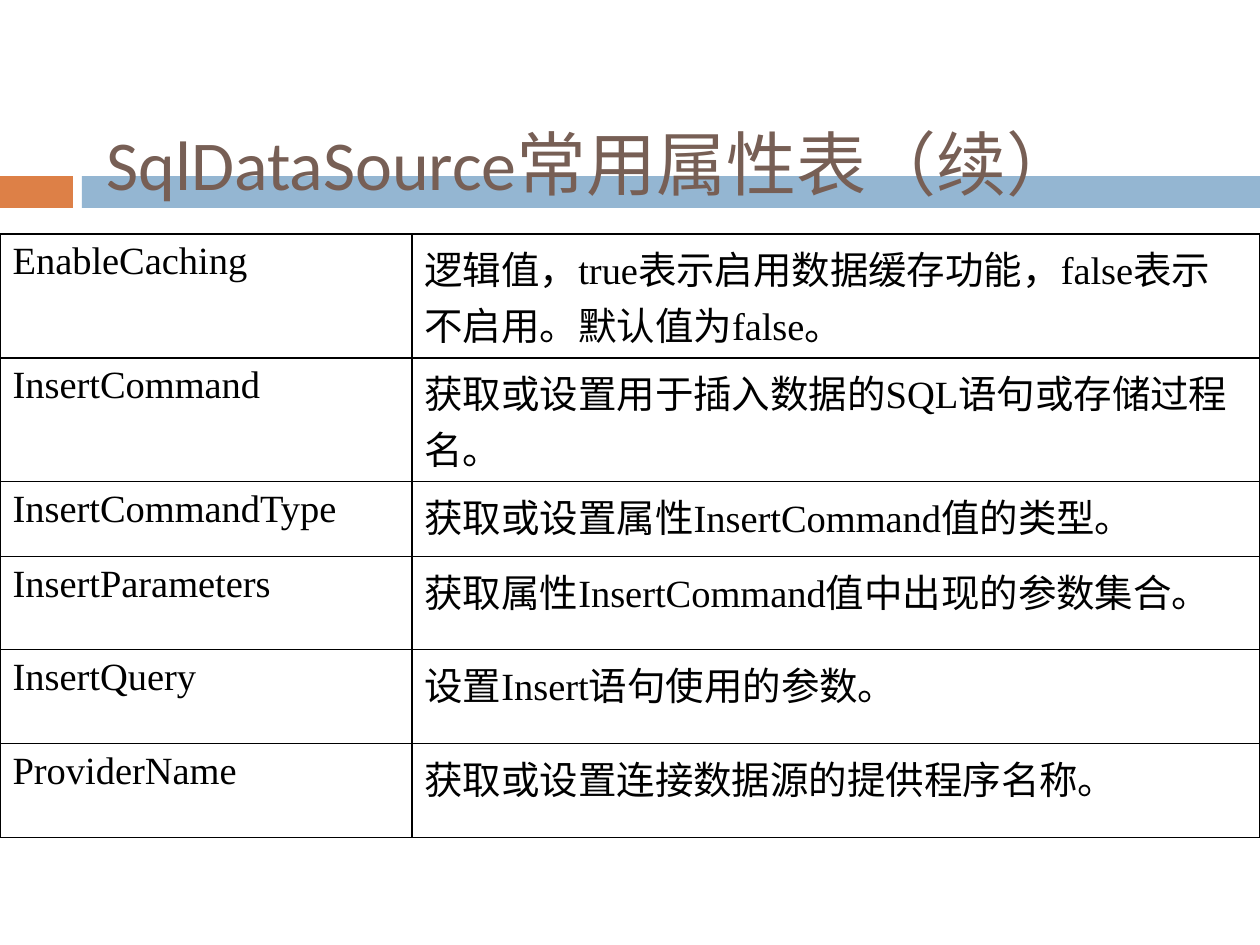
from lxml import etree
from pptx import Presentation
from pptx import util as u
from pptx.dml.color import RGBColor
from pptx.enum import shapes, text
from pptx.oxml.ns import qn

C = {"orange": "DD8047", "blue": "94B6D2", "title": "775F55", "black": "000000"}


def px(n):
    return u.Emu(round(n * 914400 / 126))


def style(p, name, size, color):
    p.font.name = name
    p.font.size = u.Pt(size)
    p.font.color.rgb = RGBColor.from_string(C[color])


prs = Presentation()
prs.slide_width, prs.slide_height = px(1260), px(945)
s = prs.slides.add_slide(prs.slide_layouts[6])

# Band behind the title
for x, w, color in [(0, 73, "orange"), (82, 1178, "blue")]:
    sp = s.shapes.add_shape(shapes.MSO_SHAPE.RECTANGLE, px(x), px(176), px(w), px(32))
    sp.shadow.inherit = False
    sp.fill.solid()
    sp.fill.fore_color.rgb = RGBColor.from_string(C[color])
    sp.line.fill.background()

# Title
tf = s.shapes.add_textbox(px(94), px(84), px(1071), px(158)).text_frame
tf.word_wrap = True
tf.vertical_anchor = text.MSO_ANCHOR.MIDDLE
p = tf.paragraphs[0]
p.text = "SqlDataSource常用属性表（续）"
p.alignment = text.PP_ALIGN.JUSTIFY
style(p, "Calibri", 40, "title")

# Property table: name, description, row height
rows = [
    ("EnableCaching", "逻辑值，true表示启用数据缓存功能，false表示不启用。默认值为false。", 124),
    ("InsertCommand", "获取或设置用于插入数据的SQL语句或存储过程名。", 124),
    ("InsertCommandType", "获取或设置属性InsertCommand值的类型。", 75),
    ("InsertParameters", "获取属性InsertCommand值中出现的参数集合。", 93),
    ("InsertQuery", "设置Insert语句使用的参数。", 94),
    ("ProviderName", "获取或设置连接数据源的提供程序名称。", 94),
]
height = sum(row[2] for row in rows)
table = s.shapes.add_table(len(rows), 2, 0, px(234), px(1260), px(height)).table
table.first_row = table.horz_banding = False
for col, w in zip(table.columns, (412, 848)):
    col.width = px(w)

for r, (name, description, h) in enumerate(rows):
    table.rows[r].height = px(h)
    for c, value in enumerate((name, description)):
        cell = table.cell(r, c)
        p = cell.text_frame.paragraphs[0]
        p.text = value
        style(p, "Times New Roman", 22, "black")
        # Borders come before the fill in the cell properties
        tcPr = cell._tc.get_or_add_tcPr()
        for side in ("lnL", "lnR", "lnT", "lnB"):
            ln = etree.SubElement(tcPr, qn("a:" + side), w=str(u.Pt(0.75)))
            fill = etree.SubElement(ln, qn("a:solidFill"))
            etree.SubElement(fill, qn("a:srgbClr"), val=C["black"])
        cell.fill.background()

prs.save("out.pptx")
